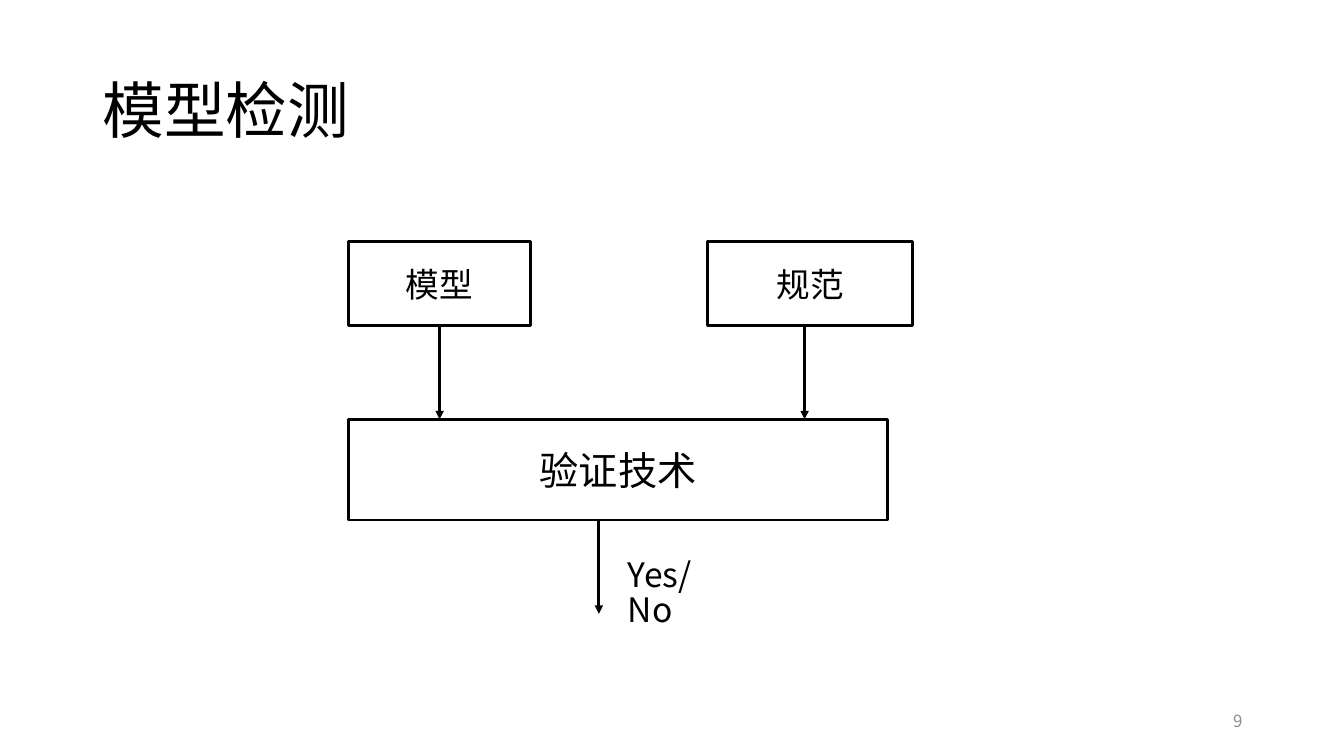
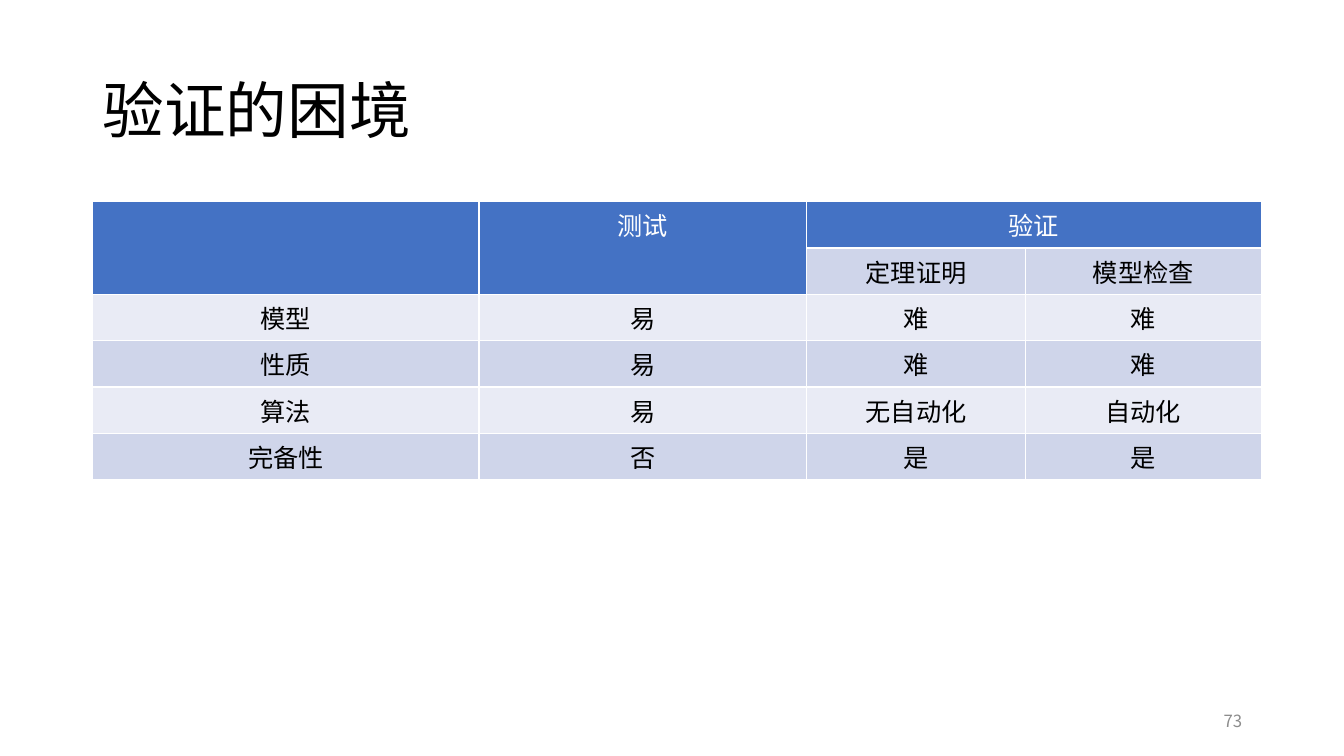
from dataclasses import dataclass

import pptx
import pptx.dml.color
import pptx.enum.shapes
import pptx.enum.text
import pptx.oxml
import pptx.oxml.ns
import pptx.util
from pptx.util import Inches

ANCHOR = pptx.enum.text.MSO_ANCHOR
ALIGN = pptx.enum.text.PP_ALIGN


@dataclass(frozen=True)
class Theme:
    """Colours, font and type sizes shared by the slides."""
    font: str = "Noto Sans CJK SC"
    ink: str = "000000"
    paper: str = "FFFFFF"
    muted: str = "8C8C8C"
    header: str = "4472C4"
    band_dark: str = "CFD5EA"
    band_light: str = "E9EBF5"
    title_size: int = 44
    stage_size: int = 28
    label_size: int = 24
    table_size: int = 18
    footer_size: int = 12
    outline: float = 2
    grid: float = 1


THEME = Theme()
TITLE_BOX = (0.92, 0.4, 11.5, 1.45)
NUMBER_BOX = (9.42, 6.95, 3, 0.4)
DIAGRAM_BOX = (3.46, 2.4, 5.59, 3.69)
TABLE_BOX = (0.92, 2, 11.59, 2.76)


def rgb(value):
    """Return a colour object for a hex string."""
    return pptx.dml.color.RGBColor.from_string(value)


def drawing_element(tag, body="", attributes=""):
    """Return a new element in the drawing namespace."""
    namespace = pptx.oxml.ns.nsdecls("a")
    return pptx.oxml.parse_xml(f"<a:{tag} {namespace} {attributes}>{body}</a:{tag}>")


def write(frame, text, size, colour, align=ALIGN.LEFT, spacing=None):
    """Write one styled paragraph into a text frame."""
    para = frame.paragraphs[0]
    para.alignment = align
    if spacing:
        para.line_spacing = spacing
    span = para.add_run()
    span.text = text
    span.font.size = pptx.util.Pt(size)
    span.font.name = THEME.font
    span.font.color.rgb = rgb(colour)
    properties = span.font._element
    properties.find(pptx.oxml.ns.qn("a:latin")).addnext(
        drawing_element("ea", attributes=f'typeface="{THEME.font}"'))


def add_text(page, box, text, size, colour, anchor=ANCHOR.MIDDLE, **style):
    """Place a wrapping text box."""
    frame = page.shapes.add_textbox(*map(Inches, box)).text_frame
    frame.word_wrap = True
    frame.vertical_anchor = anchor
    write(frame, text, size, colour, **style)


def add_page(deck, title, number):
    """Add a blank slide with its title and slide number."""
    page = deck.slides.add_slide(deck.slide_layouts[6])
    add_text(page, TITLE_BOX, title, THEME.title_size, THEME.ink, spacing=0.9)
    add_text(page, NUMBER_BOX, number, THEME.footer_size, THEME.muted, align=ALIGN.RIGHT)
    return page


def add_block(page, box, text, size):
    """Draw an outlined block with a centred label."""
    block = page.shapes.add_shape(
        pptx.enum.shapes.MSO_SHAPE.RECTANGLE, *map(Inches, box))
    block.shadow.inherit = False
    block.fill.background()
    block.line.color.rgb = rgb(THEME.ink)
    block.line.width = pptx.util.Pt(THEME.outline)
    block.text_frame.vertical_anchor = ANCHOR.MIDDLE
    write(block.text_frame, text, size, THEME.ink, ALIGN.CENTER)
    return block


def add_down_arrow(page, x, top, length):
    """Draw a vertical arrow pointing down."""
    arrow = page.shapes.add_connector(
        pptx.enum.shapes.MSO_CONNECTOR.STRAIGHT,
        Inches(x), Inches(top), Inches(x), Inches(top + length))
    arrow.line.color.rgb = rgb(THEME.ink)
    arrow.line.width = pptx.util.Pt(THEME.outline)
    arrow.line._get_or_add_ln().append(drawing_element("tailEnd", attributes='type="triangle"'))
    arrow._element.spPr.append(drawing_element("effectLst"))
    return arrow


def add_diagram(page, box):
    """Draw the model checking flow inside a box."""
    left, top, width, height = box
    input_height, stage_height, arrow_length = 0.83, 1, 0.93
    model_width, rule_width, stage_width = 1.8, 2.03, 5.34
    stage_top = top + input_height + arrow_length
    result_top = stage_top + stage_height
    model = add_block(page, (left, top, model_width, input_height),
                      "模型", THEME.label_size)
    add_block(page, (left + width - rule_width, top, rule_width, input_height),
              "规范", THEME.label_size)
    add_block(page, (left, stage_top, stage_width, stage_height),
              "验证技术", THEME.stage_size)
    model_arrow = add_down_arrow(page, left + model_width / 2, top + input_height, arrow_length)
    model_arrow.begin_connect(model, 2)
    add_down_arrow(page, left + 4.52, top + input_height, arrow_length)
    add_down_arrow(page, left + 2.48, result_top, arrow_length)
    add_text(page, (left + stage_width / 2, result_top + 0.35, 1.17, 0.9),
             "Yes/No", THEME.label_size, THEME.ink, ANCHOR.TOP, spacing=0.85)


def style_cell(cell, fill):
    """Give a cell its grid lines and fill."""
    properties = cell._tc.get_or_add_tcPr()
    paint = f'<a:solidFill><a:srgbClr val="{THEME.paper}"/></a:solidFill>'
    for side in ("lnL", "lnR", "lnT", "lnB"):
        properties.append(drawing_element(side, paint, f'w="{pptx.util.Pt(THEME.grid)}"'))
    cell.fill.solid()
    cell.fill.fore_color.rgb = rgb(fill)


def add_comparison(page, box):
    """Draw the table comparing testing with verification."""
    rows = [
        ("", "测试", "验证", ""),
        ("", "", "定理证明", "模型检查"),
        ("模型", "易", "难", "难"),
        ("性质", "易", "难", "难"),
        ("算法", "易", "无自动化", "自动化"),
        ("完备性", "否", "是", "是"),
    ]
    widths = (3.83, 3.25, 2.17, 2.34)
    table = page.shapes.add_table(len(rows), len(widths), *map(Inches, box)).table
    table.horz_banding = False
    for column, width in zip(table.columns, widths):
        column.width = Inches(width)
    for row_index, values in enumerate(rows):
        table.rows[row_index].height = Inches(box[3] / len(rows))
        band = THEME.band_dark if row_index % 2 else THEME.band_light
        for column_index, value in enumerate(values):
            cell = table.cell(row_index, column_index)
            is_header = row_index == 0 or (row_index == 1 and column_index < 2)
            style_cell(cell, THEME.header if is_header else band)
            if value:
                write(cell.text_frame, value, THEME.table_size,
                      THEME.paper if is_header else THEME.ink, ALIGN.CENTER)
    for first, last in (((0, 0), (1, 0)), ((0, 1), (1, 1)), ((0, 2), (0, 3))):
        table.cell(*first).merge(table.cell(*last))


def main():
    """Build and save the deck."""
    deck = pptx.Presentation()
    deck.slide_width = Inches(13.33)
    deck.slide_height = Inches(7.5)
    add_diagram(add_page(deck, "模型检测", "9"), DIAGRAM_BOX)
    add_comparison(add_page(deck, "验证的困境", "73"), TABLE_BOX)
    deck.save("out.pptx")


if __name__ == "__main__":
    main()
